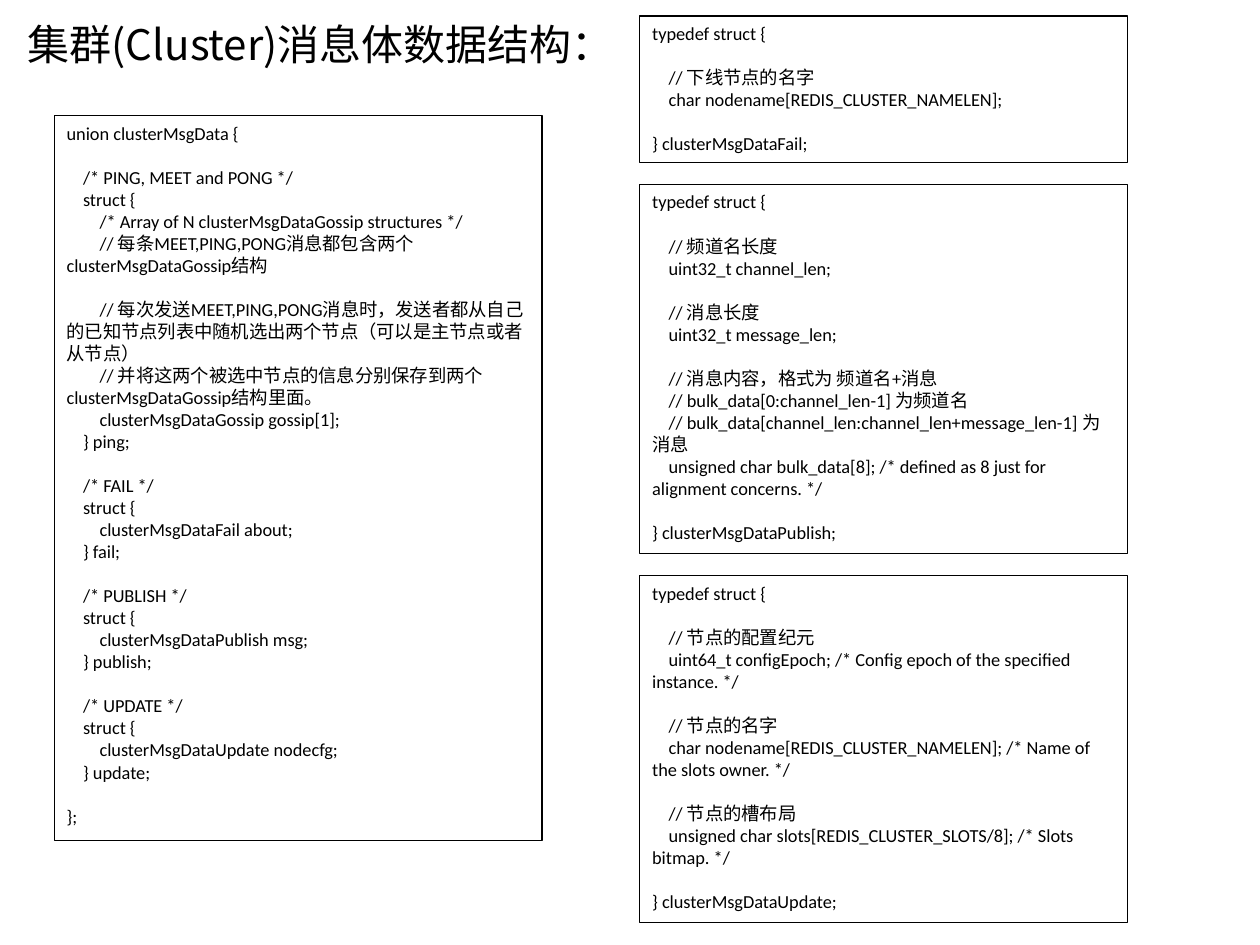
import pptx
import pptx.util
import pptx.dml.color
import pptx.enum.shapes
import pptx.enum.text
import pptx.oxml.ns
from dataclasses import dataclass
from lxml import etree

Pt = pptx.util.Pt
ALIGN = pptx.enum.text.PP_ALIGN
ANCHOR = pptx.enum.text.MSO_ANCHOR


@dataclass(frozen=True)
class Theme:
    ink: pptx.dml.color.RGBColor = pptx.dml.color.RGBColor(0, 0, 0)
    code_font: str = "Calibri"
    cjk_font: str = "Noto Sans CJK SC"
    title_size: float = 24
    code_size: float = 10.5
    code_line: float = 12.6  # height of one line of code
    border: float = 0.75


THEME = Theme()

# Code listings; an empty line becomes space before the next paragraph
UNION_CODE = """union clusterMsgData {

    /* PING, MEET and PONG */
    struct {
        /* Array of N clusterMsgDataGossip structures */
        // 每条MEET,PING,PONG消息都包含两个clusterMsgDataGossip结构

        // 每次发送MEET,PING,PONG消息时，发送者都从自己的已知节点列表中随机选出两个节点（可以是主节点或者从节点）
        // 并将这两个被选中节点的信息分别保存到两个clusterMsgDataGossip结构里面。
        clusterMsgDataGossip gossip[1];
    } ping;

    /* FAIL */
    struct {
        clusterMsgDataFail about;
    } fail;

    /* PUBLISH */
    struct {
        clusterMsgDataPublish msg;
    } publish;

    /* UPDATE */
    struct {
        clusterMsgDataUpdate nodecfg;
    } update;

};"""

FAIL_CODE = """typedef struct {

    // 下线节点的名字
    char nodename[REDIS_CLUSTER_NAMELEN];

} clusterMsgDataFail;"""

PUBLISH_CODE = """typedef struct {

    // 频道名长度
    uint32_t channel_len;

    // 消息长度
    uint32_t message_len;

    // 消息内容，格式为 频道名+消息
    // bulk_data[0:channel_len-1] 为频道名
    // bulk_data[channel_len:channel_len+message_len-1] 为消息
    unsigned char bulk_data[8]; /* defined as 8 just for alignment concerns. */

} clusterMsgDataPublish;"""

UPDATE_CODE = """typedef struct {

    // 节点的配置纪元
    uint64_t configEpoch; /* Config epoch of the specified instance. */

    // 节点的名字
    char nodename[REDIS_CLUSTER_NAMELEN]; /* Name of the slots owner. */

    // 节点的槽布局
    unsigned char slots[REDIS_CLUSTER_SLOTS/8]; /* Slots bitmap. */

} clusterMsgDataUpdate;"""


def set_attrs(obj, values):
    for name, value in values.items():
        setattr(obj, name, value)


def format_frame(tf):
    set_attrs(tf, {
        "word_wrap": True,
        "auto_size": pptx.enum.text.MSO_AUTO_SIZE.NONE,
        "vertical_anchor": ANCHOR.TOP,
        "margin_left": Pt(7.2), "margin_right": Pt(7.2),
        "margin_top": Pt(3.6), "margin_bottom": Pt(3.6),
    })


def write_line(p, text, font, size):
    p.alignment = ALIGN.LEFT
    r = p.add_run()
    r.text = text
    set_attrs(r.font, {"name": font, "size": Pt(size)})
    r.font.color.rgb = THEME.ink
    # East Asian typeface
    ea = etree.SubElement(r.font._element, pptx.oxml.ns.qn("a:ea"))
    ea.set("typeface", THEME.cjk_font)


def add_title(s, text, left, top, width, height):
    sp = s.shapes.title
    set_attrs(sp, {"left": Pt(left), "top": Pt(top),
                   "width": Pt(width), "height": Pt(height)})
    format_frame(sp.text_frame)
    write_line(sp.text_frame.paragraphs[0], text,
               THEME.cjk_font, THEME.title_size)


def add_code_box(s, code, left, top, width, height):
    sp = s.shapes.add_shape(pptx.enum.shapes.MSO_SHAPE.RECTANGLE,
                            Pt(left), Pt(top), Pt(width), Pt(height))
    sp.shadow.inherit = False
    sp.fill.background()
    sp.line.color.rgb = THEME.ink
    sp.line.width = Pt(THEME.border)
    tf = sp.text_frame
    format_frame(tf)
    for i, block in enumerate(code.split("\n\n")):
        for j, line in enumerate(block.split("\n")):
            p = tf.add_paragraph() if i or j else tf.paragraphs[0]
            if i and not j:
                p.space_before = Pt(THEME.code_line)
            write_line(p, line, THEME.code_font, THEME.code_size)


def main():
    prs = pptx.Presentation()
    prs.slide_width, prs.slide_height = Pt(720), Pt(540)
    s = prs.slides.add_slide(prs.slide_layouts[5])

    add_title(s, "集群(Cluster)消息体数据结构：", 8.6, 7.2, 578, 36)

    # Union on the left
    box_width = 278.7
    add_code_box(s, UNION_CODE, 31, 66, box_width, 414.5)

    # Member structs stacked on the right
    top, gap = 9.2, 12.6
    for code, height in ((FAIL_CODE, 83.6), (PUBLISH_CODE, 211),
                         (UPDATE_CODE, 198)):
        add_code_box(s, code, 365.6, top, box_width, height)
        top += height + gap

    prs.save("out.pptx")


if __name__ == "__main__":
    main()
